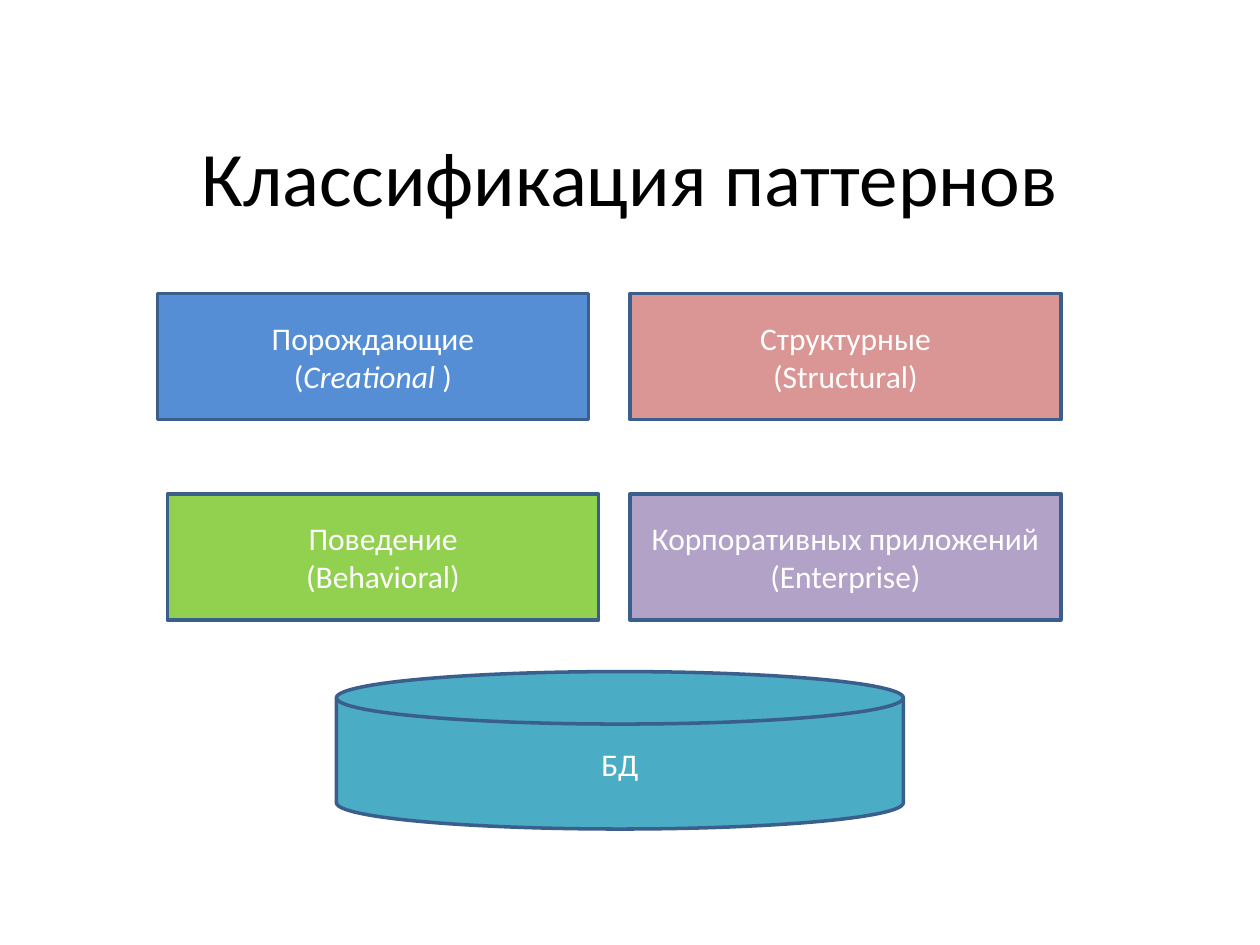
"""Build a slide that sorts design patterns into groups."""
import pptx
import pptx.dml.color
import pptx.enum.shapes
import pptx.enum.text
import pptx.util

Inches = pptx.util.Inches
RGBColor = pptx.dml.color.RGBColor
KIND = pptx.enum.shapes.MSO_SHAPE

BLACK = RGBColor(0x00, 0x00, 0x00)
WHITE = RGBColor(0xFF, 0xFF, 0xFF)
NAVY = RGBColor(0x3A, 0x5F, 0x8C)
BLUE = RGBColor(0x55, 0x8E, 0xD5)
ROSE = RGBColor(0xD9, 0x96, 0x94)
GREEN = RGBColor(0x92, 0xD0, 0x50)
LILAC = RGBColor(0xB3, 0xA2, 0xC7)
TEAL = RGBColor(0x4B, 0xAC, 0xC6)

TOP, LOW = 2.33, 3.92
WIDE, HIGH = 3.42, 1
GROUPS = [
    (1.33, LOW, GREEN, ["Поведение", "(Behavioral)"]),
    (1.25, TOP, BLUE, ["Порождающие", ["(", ("Creational ", True), ")"]]),
    (5, TOP, ROSE, ["Структурные", "(Structural)"]),
    (5, LOW, LILAC, ["Корпоративных приложений", "(Enterprise)"]),
]


def write(frame, lines, size=18, color=WHITE, face="Calibri"):
    frame.word_wrap = True
    frame.vertical_anchor = pptx.enum.text.MSO_ANCHOR.MIDDLE
    for num, line in enumerate(lines):
        para = frame.add_paragraph() if num else frame.paragraphs[0]
        para.alignment = pptx.enum.text.PP_ALIGN.CENTER
        for part in [line] if isinstance(line, str) else line:
            text, slant = (part, False) if isinstance(part, str) else part
            run = para.add_run()
            run.text = text
            run.font.name = face
            run.font.size = pptx.util.Pt(size)
            run.font.italic = slant
            run.font.color.rgb = color


def add_title(slide, text):
    box = slide.shapes.add_textbox(
        Inches(0.5), Inches(0.77), Inches(9), Inches(1.25))
    write(box.text_frame, [text], size=44, color=BLACK)


def add_block(slide, kind, left, top, width, height, fill, lines):
    block = slide.shapes.add_shape(
        kind, Inches(left), Inches(top), Inches(width), Inches(height))
    block.shadow.inherit = False
    block.fill.solid()
    block.fill.fore_color.rgb = fill
    block.line.color.rgb = NAVY
    block.line.width = pptx.util.Pt(2)
    write(block.text_frame, lines)


def main():
    deck = pptx.Presentation()
    deck.slide_width, deck.slide_height = Inches(10), Inches(7.5)
    slide = deck.slides.add_slide(deck.slide_layouts[6])
    add_title(slide, "Классификация паттернов")
    for left, top, fill, lines in GROUPS:
        add_block(slide, KIND.RECTANGLE, left, top, WIDE, HIGH, fill, lines)
    add_block(slide, KIND.FLOWCHART_MAGNETIC_DISK,
              2.67, 5.33, 4.5, 1.25, TEAL, ["БД"])
    deck.save("out.pptx")


main()
